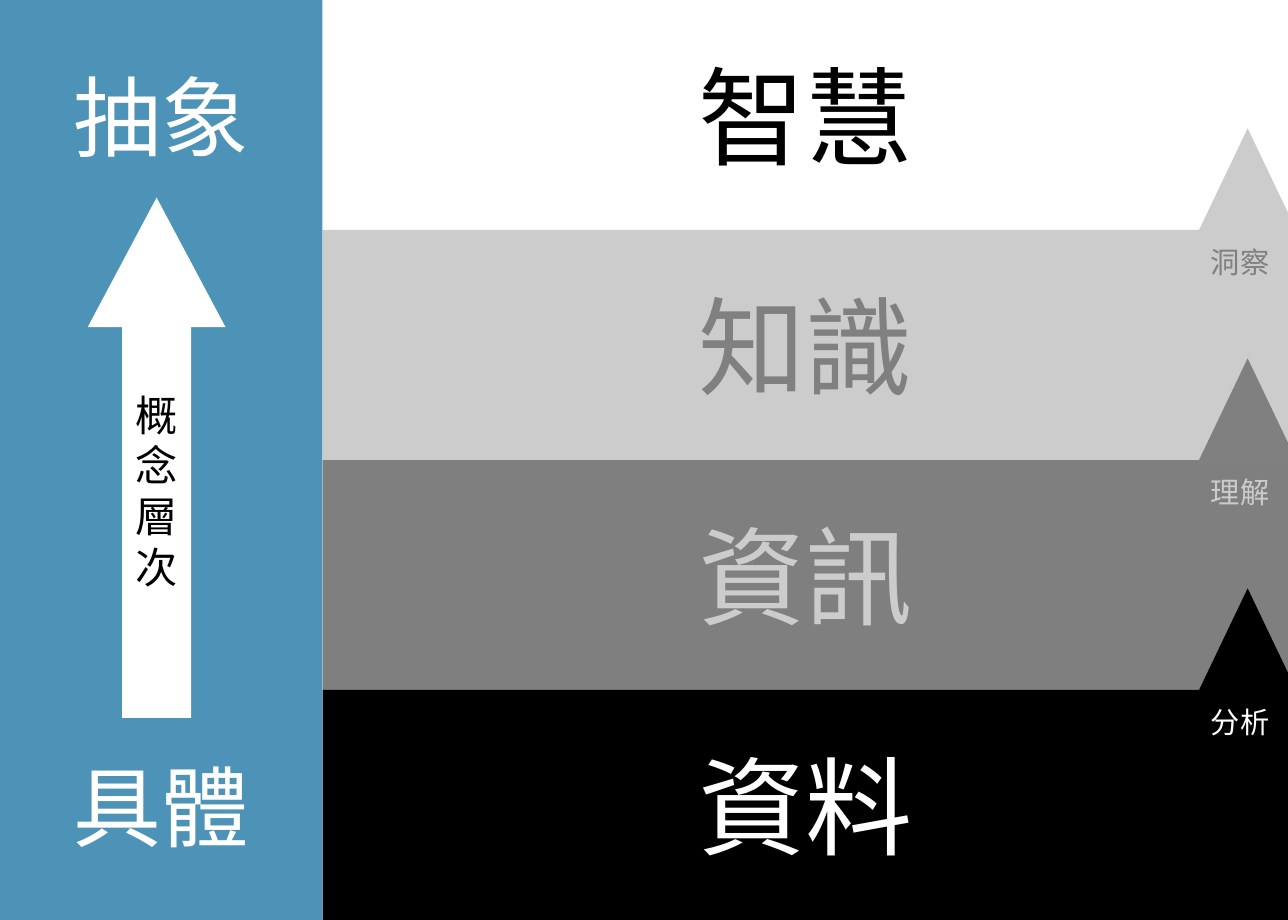
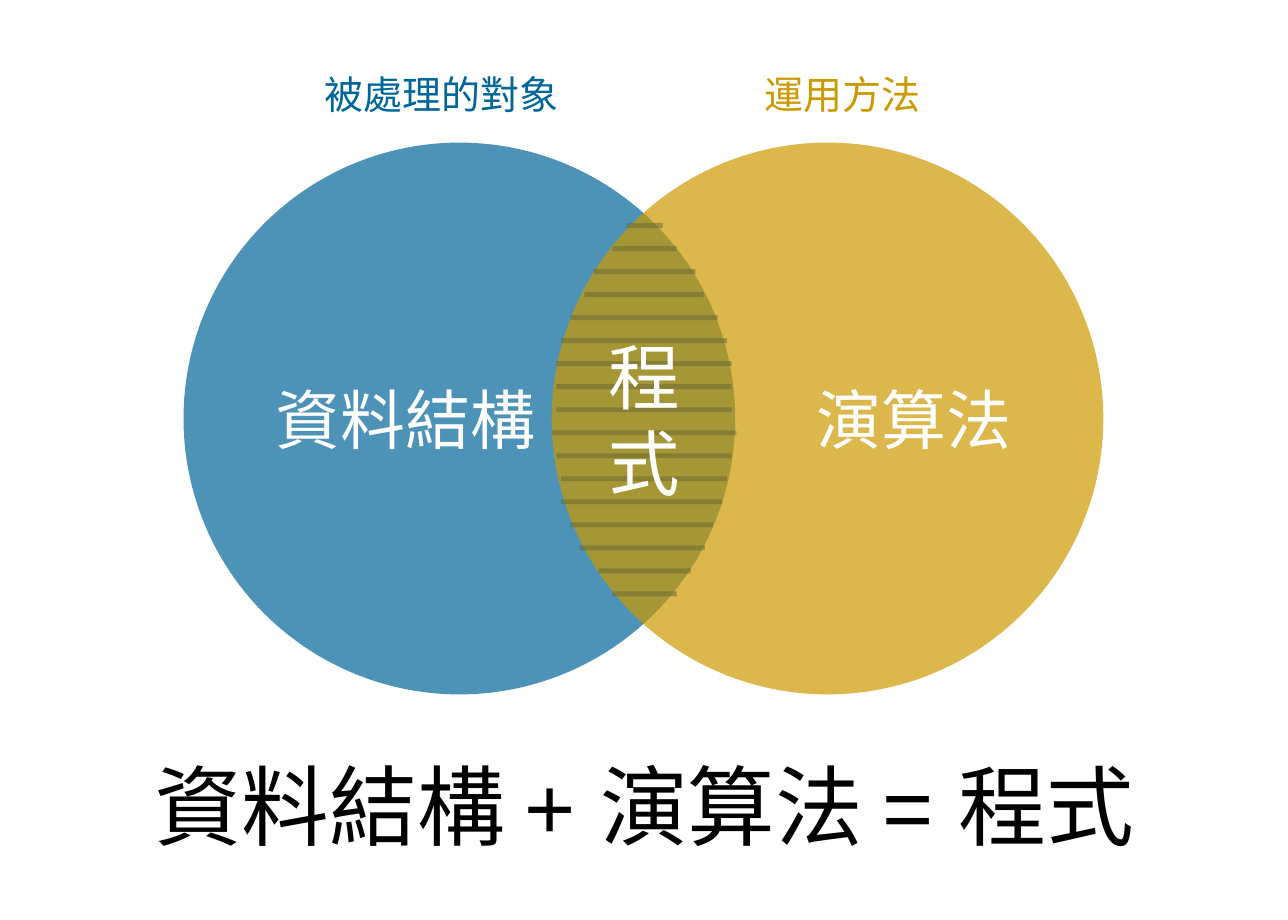
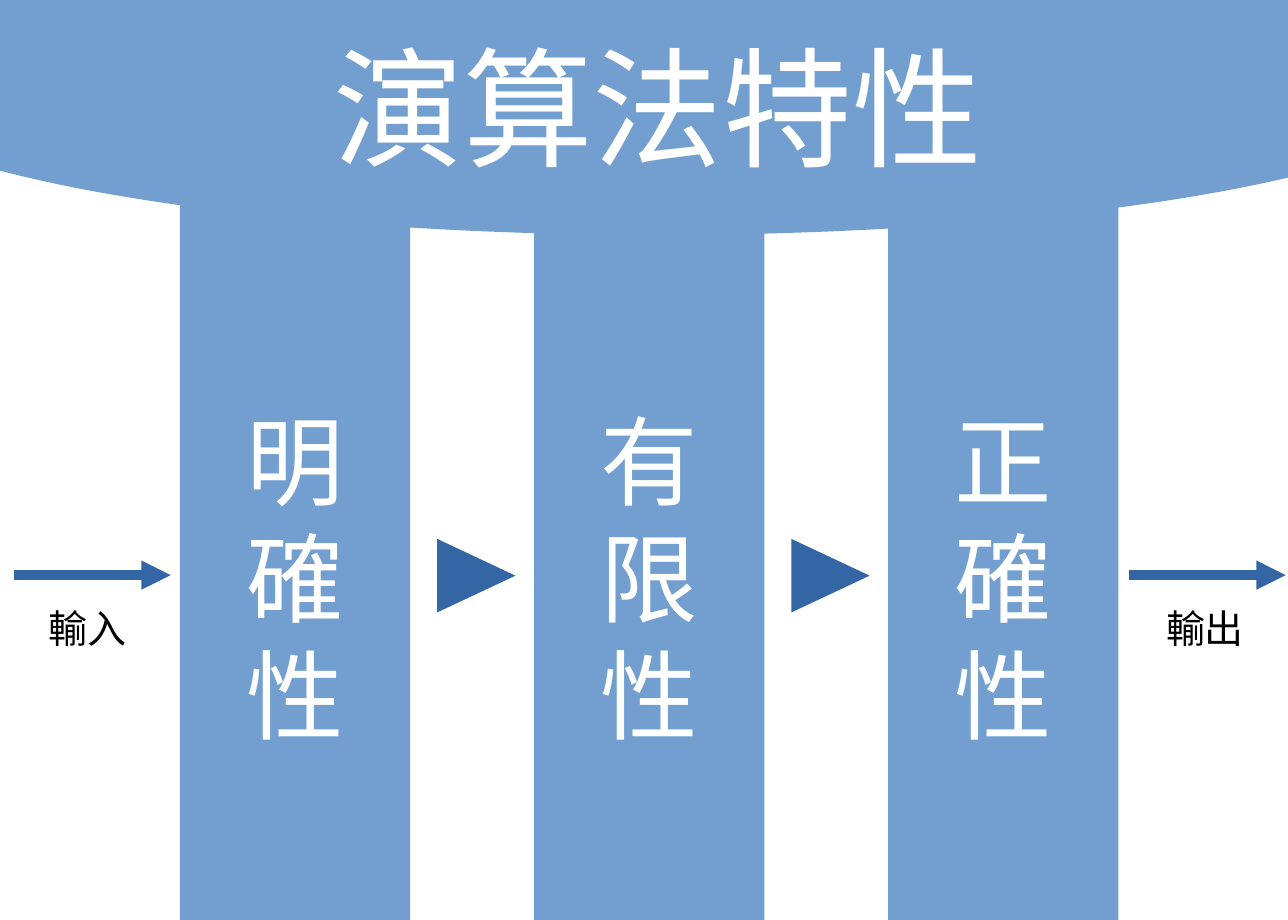
from lxml.etree import SubElement
from pptx import Presentation
from pptx.dml.color import RGBColor
from pptx.enum.shapes import MSO_CONNECTOR as LINE, MSO_SHAPE as SHAPE
from pptx.enum.text import MSO_ANCHOR as ANCHOR, MSO_AUTO_SIZE as AUTOSIZE, PP_ALIGN as ALIGN
from pptx.oxml.ns import qn
from pptx.util import Inches, Pt

COLORS = {
    "white": "FFFFFF", "black": "000000", "light": "CCCCCC", "gray": "808080",
    "blue": "006699", "gold": "CC9900", "olive": "666633",
    "sky": "729FCF", "navy": "3465A4",
}
RGB = {name: RGBColor.from_string(value) for name, value in COLORS.items()}
CJK = "Noto Sans CJK TC"
WIDTH, HEIGHT = 11.02, 7.87


def add_block(slide, preset, box, color, opacity=100):
    block = slide.shapes.add_shape(preset, *map(Inches, box))
    block.shadow.inherit = False
    block.line.fill.background()
    block.fill.solid()
    block.fill.fore_color.rgb = RGB[color]
    if opacity < 100:
        tint = block.fill._xPr.find(qn("a:solidFill"))[0]
        SubElement(tint, qn("a:alpha")).set("val", str(opacity * 1000))
    return block


def write(holder, lines, size, color, font="Arial", align=ALIGN.CENTER, anchor=ANCHOR.MIDDLE):
    frame = holder.text_frame
    frame.text = "\n".join(lines)
    frame.word_wrap = True
    frame.auto_size = AUTOSIZE.NONE
    frame.vertical_anchor = anchor
    for paragraph in frame.paragraphs:
        paragraph.alignment = align
        paragraph.line_spacing = Pt(size * 1.2)
        paragraph.font.size = Pt(size)
        paragraph.font.color.rgb = RGB[color]
        paragraph.font.name = font
        SubElement(paragraph.font._rPr, qn("a:ea")).set("typeface", CJK)


prs = Presentation()
prs.slide_width, prs.slide_height = Inches(WIDTH), Inches(HEIGHT)
title_only, blank = prs.slide_layouts[5], prs.slide_layouts[6]

pyramid = prs.slides.add_slide(blank)
side, level = 2.76, HEIGHT / 4
levels = [
    ("智慧", "white", 100, "black", None, None),
    ("知識", "light", 100, "gray", "洞察", "light"),
    ("資訊", "black", 50, "light", "理解", "gray"),
    ("資料", "black", 100, "white", "分析", "black"),
]
for row, (name, fill, opacity, ink, step, peak) in enumerate(levels):
    top = row * level
    band = add_block(pyramid, SHAPE.RECTANGLE, (side, top, WIDTH - side, level), fill, opacity)
    write(band, [name], 66, ink, CJK)
    if step:
        add_block(pyramid, SHAPE.ISOSCELES_TRIANGLE, (10.24, top - 0.87, 0.87, 0.91), peak)
        step_label = pyramid.shapes.add_textbox(Inches(10), Inches(top), Inches(1.22), Inches(0.55))
        write(step_label, [step], 18, ink, CJK)

add_block(pyramid, SHAPE.RECTANGLE, (0, 0, side, HEIGHT), "blue", 70)
for name, top in (("抽象", 0), ("具體", 3 * level)):
    extreme = pyramid.shapes.add_textbox(0, Inches(top), Inches(side), Inches(level))
    write(extreme, [name], 54, "white", CJK)
abstraction = add_block(pyramid, SHAPE.UP_ARROW, (0.75, 1.69, 1.18, 4.45), "white")
abstraction.adjustments[1] = 0.94
write(abstraction, "概念層次", 26, "black")

venn = prs.slides.add_slide(title_only)
equation = venn.shapes.title
equation.left, equation.top = 0, Inches(6.38)
equation.width, equation.height = Inches(WIDTH), Inches(1.19)
write(equation, ["資料結構 + 演算法 = 程式"], 54, "black", anchor=ANCHOR.TOP)

circles = [
    ("資料結構", 1.57, "blue", ALIGN.LEFT, "被處理的對象", 2.32),
    ("演算法", 4.72, "gold", ALIGN.RIGHT, "運用方法", 5.75),
]
for name, left, color, align, role, role_left in circles:
    circle = add_block(venn, SHAPE.OVAL, (left, 1.22, 4.72, 4.72), color, 70)
    write(circle, [name], 40, "white", align=align)
    caption = venn.shapes.add_textbox(Inches(role_left), Inches(0.55), Inches(2.91), Inches(0.58))
    write(caption, [role], 24, color, anchor=ANCHOR.TOP)

hatch_spans = [
    (5.36, 5.67), (5.24, 5.79), (5.08, 5.95), (5, 6.02), (4.88, 6.14), (4.8, 6.22),
    (4.76, 6.26), (4.76, 6.26), (4.76, 6.26), (4.72, 6.3), (4.76, 6.26), (4.8, 6.22),
    (4.8, 6.18), (4.88, 6.1), (4.96, 6.03), (5.12, 5.91), (5.24, 5.79),
]
hatch_gap = 3.15 / (len(hatch_spans) - 1)
for row, (start, end) in enumerate(hatch_spans):
    y = Inches(1.93 + row * hatch_gap)
    hatch = venn.shapes.add_connector(LINE.STRAIGHT, Inches(start), y, Inches(end), y)
    hatch.line.width = Pt(3)
    hatch.line.color.rgb = RGB["olive"]
    tint = hatch.line._ln.find(qn("a:solidFill"))[0]
    SubElement(tint, qn("a:alpha")).set("val", "50000")
program = venn.shapes.add_textbox(Inches(4.92), Inches(2.64), Inches(1.18), Inches(1.89))
write(program, "程式", 44, "white")

traits = prs.slides.add_slide(title_only)
pillar_left, pillar_pitch = 1.54, 3.03
for column, name in enumerate(("明確性", "有限性", "正確性")):
    left = pillar_left + column * pillar_pitch
    pillar = add_block(traits, SHAPE.RECTANGLE, (left, 0, 1.97, HEIGHT), "sky")
    write(pillar, name, 60, "white")
    pillar.text_frame.margin_top = Inches(2.05)
    if column:
        pointer = add_block(traits, SHAPE.ISOSCELES_TRIANGLE, (left - 0.81, 4.59, 0.63, 0.67), "navy")
        pointer.rotation = 90

add_block(traits, SHAPE.OVAL, (-1.34, -0.67, 13.94, 2.68), "sky")
heading = traits.shapes.title
heading.left, heading.top = Inches(2.13), Inches(0.2)
heading.width, heading.height = Inches(7), Inches(1.4)
write(heading, ["演算法特性"], 80, "white")
traits.shapes._spTree.append(heading._element)

for name, start, label_left in (("輸入", 0.12, 0.2), ("輸出", 9.66, 9.76)):
    flow = traits.shapes.add_connector(
        LINE.STRAIGHT, Inches(start), Inches(4.92), Inches(start + 1.34), Inches(4.92))
    flow.line.width = Pt(6)
    flow.line.color.rgb = RGB["navy"]
    SubElement(flow.line._ln, qn("a:tailEnd")).set("type", "triangle")
    flow_label = traits.shapes.add_textbox(Inches(label_left), Inches(5.12), Inches(1.1), Inches(0.58))
    write(flow_label, [name], 24, "black", anchor=ANCHOR.TOP)

for slide in (venn, traits):
    for connector in slide.shapes._spTree.findall(qn("p:cxnSp")):
        SubElement(connector.spPr, qn("a:effectLst"))

prs.save("out.pptx")
